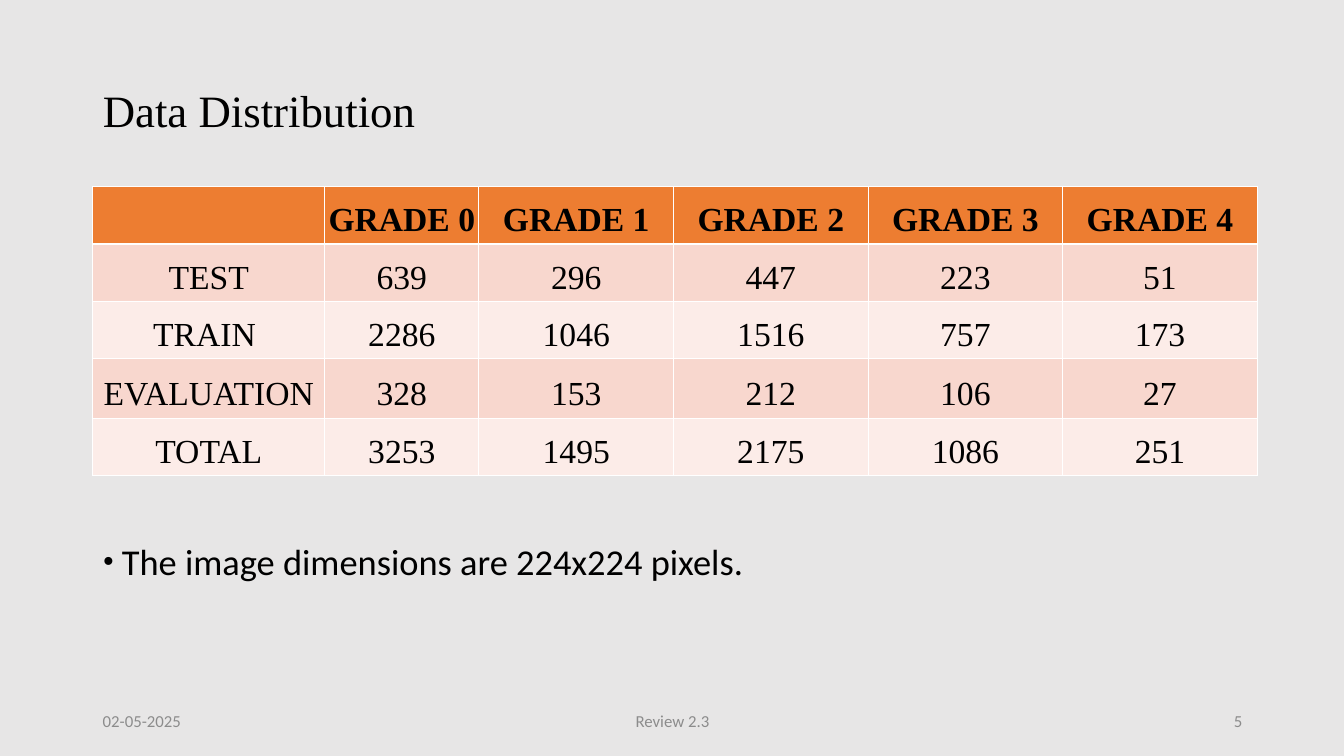
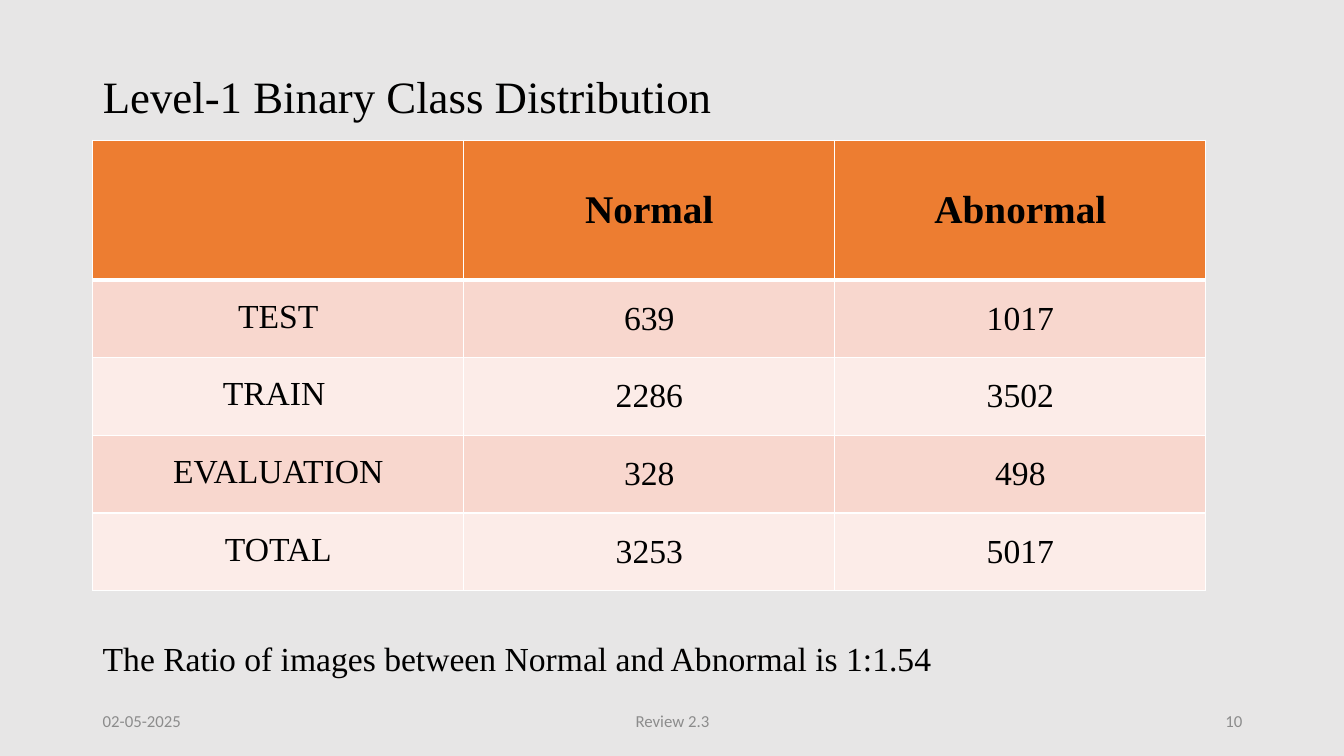
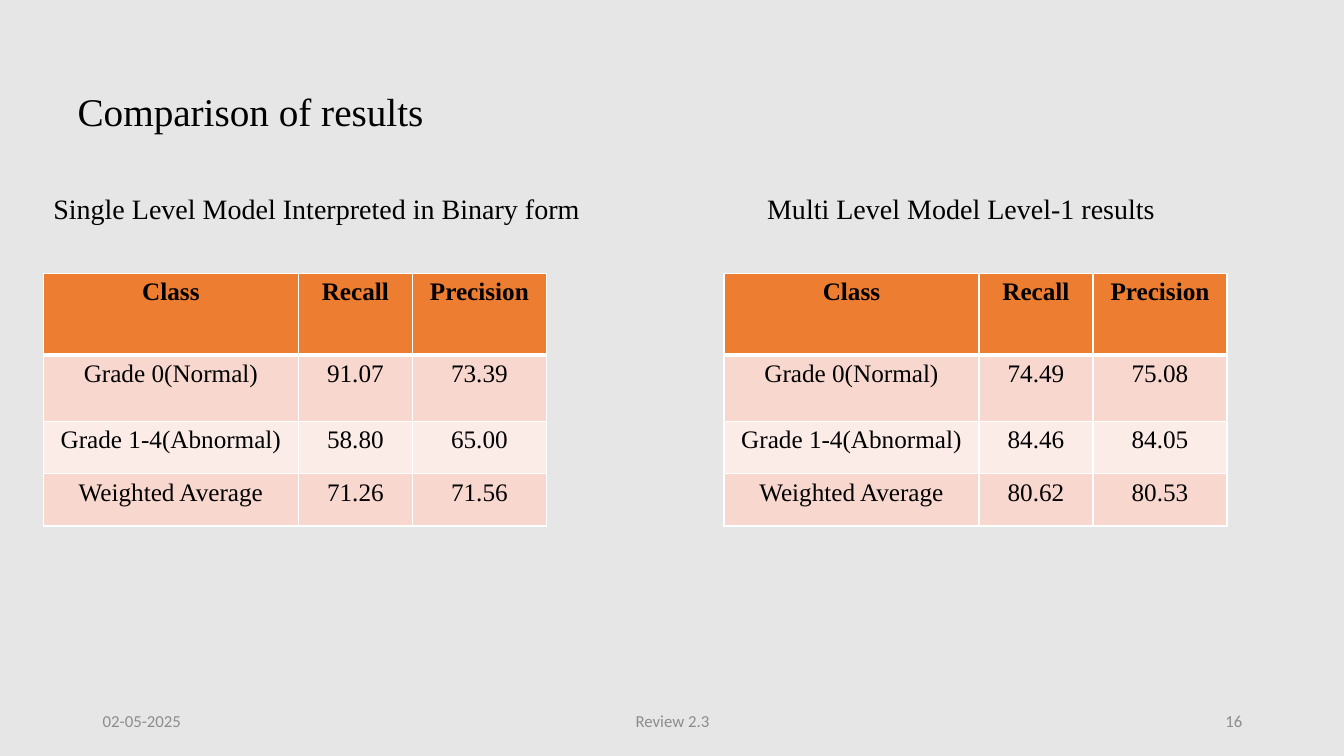
from lxml.etree import SubElement
from pptx import Presentation
from pptx.dml.color import RGBColor
from pptx.enum.text import MSO_ANCHOR, MSO_AUTO_SIZE, PP_ALIGN
from pptx.oxml.ns import qn
from pptx.util import Emu, Pt

PX = 9144
SERIF, SANS = "Times New Roman", "Calibri"
BLACK, GREY, WHITE = "000000", "8C8C8C", "FFFFFF"
PAGE, HEADER, BANDS = "E7E6E6", "ED7D31", ("F8D7CE", "FCECE8")
TIGHT = (1, 1, 1, 5)
LEFT, CENTER, RIGHT = PP_ALIGN.LEFT, PP_ALIGN.CENTER, PP_ALIGN.RIGHT
TOP, MIDDLE, BOTTOM = MSO_ANCHOR.TOP, MSO_ANCHOR.MIDDLE, MSO_ANCHOR.BOTTOM


def px(n):
    """Convert px to EMU."""
    return Emu(n * PX)


def rgb(color):
    """Convert a hex string to a colour."""
    return RGBColor.from_string(color)


class Deck:
    """Hold the shared style and the current slide."""

    def __init__(self):
        """Set the slide size and the common background."""
        self.prs = Presentation()
        self.prs.slide_width, self.prs.slide_height = px(1333), px(750)
        fill = self.prs.slide_master.background.fill
        fill.solid()
        fill.fore_color.rgb = rgb(PAGE)

    def slide(self, number):
        """Start a title-only slide with its footer."""
        self.s = self.prs.slides.add_slide(self.prs.slide_layouts[5])
        footer = ((92, 300, "02-05-2025", LEFT),
                  (442, 450, "Review 2.3", CENTER),
                  (942, 300, str(number), RIGHT))
        for x, w, text, align in footer:
            self.text((x, 695, w, 40), text, 12, SANS, GREY, align, MIDDLE)

    def run(self, p, text, size, font=SERIF, color=BLACK, bold=False):
        """Add one formatted run."""
        r = p.add_run()
        r.text = text
        r.font.size, r.font.name, r.font.bold = Pt(size), font, bold
        r.font.color.rgb = rgb(color)

    def title(self, box, text, size=32, anchor=MIDDLE, spacing=0.9):
        """Place and fill the title placeholder."""
        sp = self.s.shapes.title
        sp.left, sp.top, sp.width, sp.height = map(px, box)
        tf = sp.text_frame
        tf.auto_size, tf.vertical_anchor = MSO_AUTO_SIZE.NONE, anchor
        p = tf.paragraphs[0]
        p.alignment, p.line_spacing = LEFT, spacing
        self.run(p, text, size)

    def text(self, box, text, size, font=SERIF, color=BLACK, align=LEFT, anchor=TOP):
        """Add a wrapped text box and return its paragraph."""
        tf = self.s.shapes.add_textbox(*map(px, box)).text_frame
        tf.word_wrap, tf.vertical_anchor = True, anchor
        p = tf.paragraphs[0]
        p.alignment = align
        self.run(p, text, size, font, color)
        return p

    def bullet(self, box, text, size, font):
        """Add a text box with a hanging bullet."""
        pPr = self.text(box, text, size, font)._p.get_or_add_pPr()
        pPr.set("marL", str(px(19)))
        pPr.set("indent", str(-px(19)))
        SubElement(pPr, qn("a:buSzPct"), val="92000")
        SubElement(pPr, qn("a:buFont"), typeface=SERIF)
        SubElement(pPr, qn("a:buChar"), char="•")

    def borders(self, cell, row, thin, thick):
        """Draw cell borders, thick below the header."""
        widths = {"L": thin, "R": thin,
                  "T": thick if row == 1 else thin,
                  "B": thick if row == 0 else thin}
        tcPr = cell._tc.get_or_add_tcPr()
        for side, width in widths.items():
            ln = SubElement(tcPr, qn(f"a:ln{side}"), w=str(Pt(width)))
            SubElement(SubElement(ln, qn("a:solidFill")), qn("a:srgbClr"), val=WHITE)

    def table(self, x, y, cols, heights, rows, size, head_size=None,
              anchor=TOP, tight=(), lines=(1, 3)):
        """Add a banded table; columns in tight get narrow margins."""
        t = self.s.shapes.add_table(len(rows), len(cols), px(x), px(y),
                                    px(sum(cols)), px(sum(heights))).table
        t.horz_banding = False
        for col, w in zip(t.columns, cols):
            col.width = px(w)
        for i, (h, row) in enumerate(zip(heights, rows)):
            t.rows[i].height = px(h)
            for j, text in enumerate(row):
                cell = t.cell(i, j)
                self.borders(cell, i, *lines)
                cell.fill.solid()
                cell.fill.fore_color.rgb = rgb(BANDS[(i - 1) % 2] if i else HEADER)
                cell.vertical_anchor = anchor
                if j in tight:
                    (cell.margin_left, cell.margin_top,
                     cell.margin_right, cell.margin_bottom) = map(px, TIGHT)
                p = cell.text_frame.paragraphs[0]
                p.alignment = CENTER
                if text:
                    self.run(p, text, size if i else head_size or size, bold=i == 0)


def main():
    """Build the three slides."""
    d = Deck()

    d.slide(5)
    d.title((92, 40, 1150, 145), "Data Distribution")
    d.table(92, 185, [230, 153] + [193] * 4, [57, 57, 57, 59, 57], [
        ["", *(f"GRADE {n}" for n in range(5))],
        ["TEST", "639", "296", "447", "223", "51"],
        ["TRAIN ", "2286", "1046", "1516", "757", "173"],
        ["EVALUATION", "328", "153", "212", "106", "27"],
        ["TOTAL", "3253", "1495", "2175", "1086", "251"],
    ], 24, anchor=BOTTOM, tight=range(6), lines=(0.75, 1.92))
    d.bullet((92, 530, 1096, 54), "The image dimensions are 224x224 pixels.", 26, SANS)

    d.slide(10)
    d.title((92, 63, 1122, 75), "Level-1 Binary Class Distribution", anchor=TOP, spacing=1.0)
    d.table(92, 139, [368] * 3, [139] + [77] * 4, [
        ["", "Normal", "Abnormal"],
        ["TEST", "639", "1017"],
        ["TRAIN ", "2286", "3502"],
        ["EVALUATION", "328", "498"],
        ["TOTAL", "3253", "5017"],
    ], 24, head_size=28, anchor=MIDDLE, tight=[0])
    d.text((92, 628, 945, 50), "The Ratio of images between Normal and Abnormal is 1:1.54", 24)

    d.slide(16)
    d.title((67, 40, 1150, 145), "Comparison of results", 28)
    classes = ["Grade 0(Normal)", "Grade 1-4(Abnormal)", "Weighted Average"]
    models = (
        (43, 43, 569, "Single Level Model Interpreted in Binary form",
         [("91.07", "73.39"), ("58.80", "65.00"), ("71.26", "71.56")]),
        (718, 751, 490, "Multi Level Model Level-1 results",
         [("74.49", "75.08"), ("84.46", "84.05"), ("80.62", "80.53")]),
    )
    for x, label_x, label_w, label, scores in models:
        d.text((label_x, 185, label_w, 44), label, 20)
        rows = [["Class", "Recall", "Precision"]]
        rows += [[name, *score] for name, score in zip(classes, scores)]
        d.table(x, 271, [253, 113, 133], [81, 66, 52, 52], rows, 18)

    d.prs.save("out.pptx")


if __name__ == "__main__":
    main()
